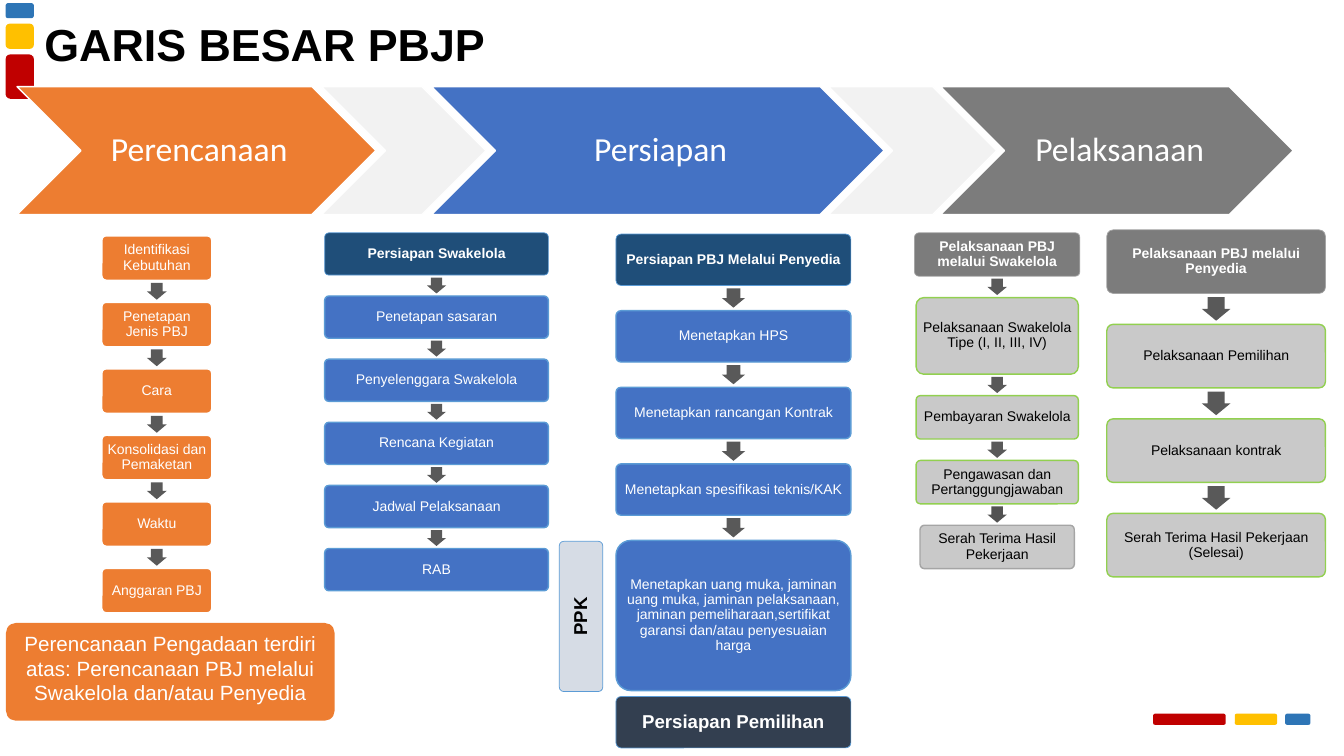
"""Build the slide that outlines the stages of government procurement."""
from dataclasses import dataclass
from typing import Optional

from pptx import Presentation
from pptx.dml.color import RGBColor
from pptx.enum.shapes import MSO_SHAPE
from pptx.enum.text import MSO_ANCHOR, PP_ALIGN
from pptx.util import Pt

ORANGE, BLUE, GRAY, PALE = "ED7D31", "4472C4", "7C7C7C", "F2F2F2"
WHITE, BLACK, SKY = "FFFFFF", "000000", "5B9BD5"
RED, YELLOW, NAVY = "C00000", "FFC000", "2E75B6"


@dataclass
class Style:
    """Colours and weight of a box, and the colour of the arrow above it."""
    fill: str
    line: Optional[str] = None
    line_width: float = 1
    color: str = WHITE
    bold: bool = False
    arrow: str = "595959"


@dataclass
class Step:
    """One box of a flow, with sizes that differ from its column."""
    text: str
    style: Style
    height: Optional[float] = None
    width: Optional[float] = None


@dataclass
class Flow:
    """A column of boxes joined by arrows."""
    center: float
    top: float
    width: float
    height: float
    gap: float
    steps: list[Step]


@dataclass
class Chevron:
    """One stage of the process band."""
    left: float
    width: float
    fill: str
    text: str = ""


@dataclass
class Bar:
    """One coloured accent bar."""
    left: float
    top: float
    width: float
    height: float
    fill: str


PLANNING = Style(ORANGE, WHITE)
PREPARATION_HEAD = Style("1F4E79", SKY, 0.5, bold=True)
PREPARATION = Style(BLUE, SKY)
EXECUTION_HEAD = Style(GRAY, "A5A5A5", 0.5, bold=True)
EXECUTION = Style("C9C9C9", "92D050", color=BLACK)
HANDOVER = Style("C9C9C9", "A5A5A5", color=BLACK, arrow="525252")
SELECTION = Style("333F50", SKY, 0.5, bold=True)
OFFICER = Style("D6DCE5", SKY, 0.5, BLACK, True)

FLOWS = [
    Flow(112, 168.5, 78.5, 31.7, 15.8, [
        Step(text, PLANNING) for text in (
            "Identifikasi Kebutuhan", "Penetapan Jenis PBJ", "Cara",
            "Konsolidasi dan Pemaketan", "Waktu", "Anggaran PBJ")]),
    Flow(311.8, 166.3, 159.8, 30.2, 14.9, [
        Step("Persiapan Swakelola", PREPARATION_HEAD),
        *(Step(text, PREPARATION) for text in (
            "Penetapan sasaran", "Penyelenggara Swakelola", "Rencana Kegiatan",
            "Jadwal Pelaksanaan", "RAB"))]),
    Flow(523.9, 167.2, 167.8, 36.7, 18, [
        Step("Persiapan PBJ Melalui Penyedia", PREPARATION_HEAD),
        *(Step(text, PREPARATION) for text in (
            "Menetapkan HPS", "Menetapkan rancangan Kontrak",
            "Menetapkan spesifikasi teknis/KAK")),
        Step("Menetapkan uang muka, jaminan uang muka, jaminan pelaksanaan, "
             "jaminan pemeliharaan,sertifikat garansi dan/atau penyesuaian harga",
             PREPARATION, height=107.3)]),
    Flow(712.3, 166.3, 115.9, 31, 15.3, [
        Step("Pelaksanaan PBJ melalui Swakelola", EXECUTION_HEAD, width=118.1),
        Step("Pelaksanaan Swakelola\nTipe (I, II, III, IV)", EXECUTION, height=54.7),
        Step("Pembayaran Swakelola", EXECUTION),
        Step("Pengawasan dan Pertanggungjawaban", EXECUTION),
        Step("Serah Terima Hasil Pekerjaan", HANDOVER, width=110.2)]),
    Flow(868.7, 164.2, 156.2, 45.4, 22.1, [
        Step("Pelaksanaan PBJ melalui Penyedia", EXECUTION_HEAD),
        *(Step(text, EXECUTION) for text in (
            "Pelaksanaan Pemilihan", "Pelaksanaan kontrak",
            "Serah Terima Hasil Pekerjaan\n(Selesai)"))]),
]

CHEVRONS = [
    Chevron(12.2, 256.3, ORANGE, "Perencanaan"),
    Chevron(308.2, 323.3, BLUE, "Persiapan"),
    Chevron(671.8, 252, GRAY, "Pelaksanaan"),
    Chevron(591.8, 120.2, PALE),
    Chevron(229.7, 117.4, PALE),
]

BARS = [
    Bar(823.7, 509.8, 51.8, 7.9, RED),
    Bar(882, 509.8, 30.2, 7.9, YELLOW),
    Bar(918, 509.8, 18, 7.9, NAVY),
    Bar(4, 38.9, 20.2, 31.7, RED),
    Bar(4, 16.9, 20.2, 18, YELLOW),
    Bar(4, 2.2, 20.2, 10.8, NAVY),
]


def rgb(value: str) -> RGBColor:
    """Turn a hex string into a colour."""
    return RGBColor.from_string(value)


def write(shape, text: str, *, size: float = 10, font: str = "Arial",
          color: str = WHITE, bold: bool = False, align=PP_ALIGN.CENTER,
          anchor=MSO_ANCHOR.MIDDLE, spacing: float = 0.9, wrap: bool = True,
          margins: tuple = (3, 3, 3, 3)) -> None:
    """Put formatted text into a shape."""
    frame = shape.text_frame
    frame.word_wrap = wrap
    frame.vertical_anchor = anchor
    (frame.margin_left, frame.margin_top,
     frame.margin_right, frame.margin_bottom) = map(Pt, margins)
    paragraph = frame.paragraphs[0]
    paragraph.text = text
    paragraph.alignment = align
    paragraph.line_spacing = spacing
    paragraph.font.size = Pt(size)
    paragraph.font.name = font
    paragraph.font.bold = bold
    paragraph.font.color.rgb = rgb(color)


def add_shape(slide, kind, left: float, top: float, width: float, height: float,
              style: Style, adjustments: tuple = ()):
    """Add a preset shape with a fill and an optional outline."""
    shape = slide.shapes.add_shape(kind, Pt(left), Pt(top), Pt(width), Pt(height))
    shape.shadow.inherit = False
    shape.fill.solid()
    shape.fill.fore_color.rgb = rgb(style.fill)
    if style.line:
        shape.line.color.rgb = rgb(style.line)
        shape.line.width = Pt(style.line_width)
    else:
        shape.line.fill.background()
    for index, value in enumerate(adjustments):
        shape.adjustments[index] = value
    return shape


def add_box(slide, left: float, top: float, width: float, height: float,
            style: Style, text: str, **text_format):
    """Add a rounded box with text in the colours of its style."""
    shape = add_shape(slide, MSO_SHAPE.ROUNDED_RECTANGLE, left, top, width, height,
                      style, (0.1,))
    write(shape, text, color=style.color, bold=style.bold, **text_format)
    return shape


def add_flow(slide, flow: Flow) -> None:
    """Stack the boxes of a flow, with an arrow in each gap."""
    top = flow.top
    arrow_width, arrow_height = 0.45 * flow.height, 0.76 * flow.gap
    for index, step in enumerate(flow.steps):
        if index:
            add_shape(slide, MSO_SHAPE.DOWN_ARROW, flow.center - arrow_width / 2,
                      top - (flow.gap + arrow_height) / 2, arrow_width, arrow_height,
                      Style(step.style.arrow), (0.6, 0.5))
        width, height = step.width or flow.width, step.height or flow.height
        add_box(slide, flow.center - width / 2, top, width, height, step.style, step.text)
        top += height + flow.gap


def main() -> None:
    """Build and save the presentation."""
    presentation = Presentation()
    presentation.slide_width, presentation.slide_height = Pt(960), Pt(540)
    slide = presentation.slides.add_slide(presentation.slide_layouts[6])

    title = slide.shapes.add_textbox(Pt(31.7), Pt(7.9), Pt(328.3), Pt(46.1))
    write(title, "GARIS BESAR PBJP", size=32, color=BLACK, bold=True, wrap=False,
          align=PP_ALIGN.LEFT, spacing=1.0, margins=(0, 0, 0, 0))
    for bar in BARS:
        add_shape(slide, MSO_SHAPE.ROUNDED_RECTANGLE, bar.left, bar.top,
                  bar.width, bar.height, Style(bar.fill))
    for flow in FLOWS:
        add_flow(slide, flow)
    for chevron in CHEVRONS:
        shape = add_shape(slide, MSO_SHAPE.CHEVRON, chevron.left, 61.9,
                          chevron.width, 91.4, Style(chevron.fill, WHITE))
        if chevron.text:
            write(shape, chevron.text, size=24, font="Calibri", margins=(7, 3, 3, 3))

    add_box(slide, 4.3, 445, 234.7, 69.8, Style(ORANGE),
            "Perencanaan Pengadaan terdiri atas: Perencanaan PBJ melalui "
            "Swakelola dan/atau Penyedia", size=14.7, spacing=1.0,
            anchor=MSO_ANCHOR.TOP, margins=(7.2, 3.6, 7.2, 3.6))
    add_box(slide, 440, 497.5, 167.8, 36.7, SELECTION, "Persiapan Pemilihan", size=13.3)
    officer = add_box(slide, 361.4, 424.8, 107.3, 31, OFFICER, "PPK", size=13.3)
    officer.rotation = 270
    presentation.save("out.pptx")


if __name__ == "__main__":
    main()
